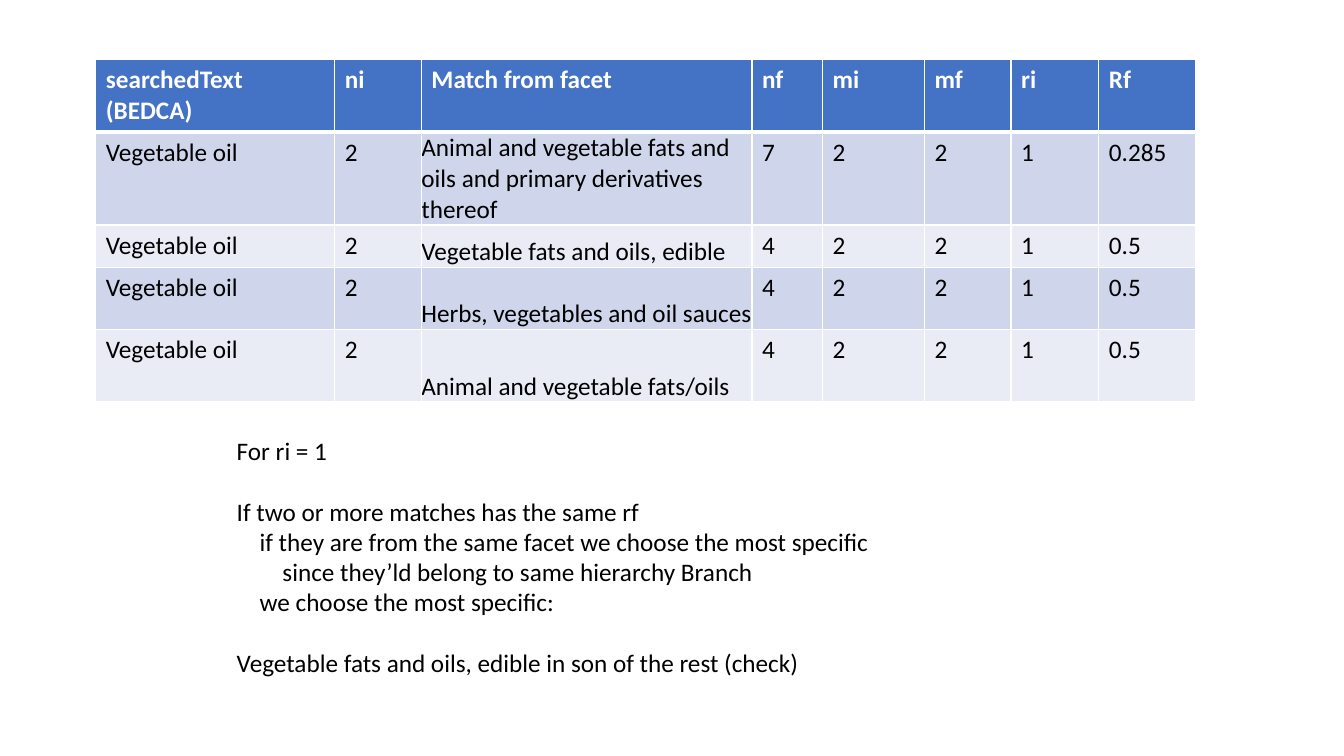
from lxml import etree
from pptx import Presentation
from pptx import util as u
from pptx.dml.color import RGBColor
from pptx.enum import text
from pptx.oxml.ns import qn


def colour(value):
    return RGBColor.from_string(value)


class Sheet:
    font = "Calibri"
    size = u.Pt(18)
    header, bands = "4472C4", ("CFD5EA", "E9EBF5")
    ink, white = "000000", "FFFFFF"

    def __init__(self, deck):
        self.page = deck.slides.add_slide(deck.slide_layouts[6])
        self.column = deck.slide_width / 100
        self.row = deck.slide_height / 100

    def across(self, columns):
        return round(columns * self.column)

    def down(self, rows):
        return round(rows * self.row)

    def frame(self, left, top, width, height):
        return self.across(left), self.down(top), self.across(width), self.down(height)

    def style(self, para, ink, bold=False):
        para.font.name, para.font.size, para.font.bold = self.font, self.size, bold
        para.font.color.rgb = colour(ink)

    def borders(self, cell, bottom):
        properties = cell._tc.get_or_add_tcPr()
        for side, points in (("L", 1), ("R", 1), ("T", 1), ("B", bottom)):
            line = etree.SubElement(properties, qn(f"a:ln{side}"), w=str(u.Pt(points)))
            fill = etree.SubElement(line, qn("a:solidFill"))
            etree.SubElement(fill, qn("a:srgbClr"), val=self.white)

    def cell(self, cell, words, fill, heading, flush):
        cell.text = words
        self.borders(cell, 3 if heading else 1)
        cell.fill.solid()
        cell.fill.fore_color.rgb = colour(fill)
        if flush:
            cell.margin_left = cell.margin_right = cell.margin_top = cell.margin_bottom = 0
            cell.vertical_anchor = text.MSO_ANCHOR.BOTTOM
        for para in cell.text_frame.paragraphs:
            self.style(para, self.white if heading else self.ink, heading)

    def table(self, left, top, widths, heights, records, flush_column):
        place = self.frame(left, top, sum(widths), sum(heights))
        table = self.page.shapes.add_table(len(heights), len(widths), *place).table
        for column, width in zip(table.columns, widths):
            column.width = self.across(width)
        for index, (row, height, record) in enumerate(zip(table.rows, heights, records)):
            row.height = self.down(height)
            heading = index == 0
            fill = self.header if heading else self.bands[(index - 1) % 2]
            for position, (cell, words) in enumerate(zip(row.cells, record)):
                flush = position == flush_column and not heading
                self.cell(cell, words, fill, heading, flush)

    def notes(self, left, top, width, height, lines, indent, gap):
        box = self.page.shapes.add_textbox(*self.frame(left, top, width, height))
        box.text_frame.word_wrap = True
        box.text_frame.text = "\n".join(words for words, level, spaced in lines)
        for para, (words, level, spaced) in zip(box.text_frame.paragraphs, lines):
            self.style(para, self.ink)
            para.space_before = u.Pt(gap if spaced else 0)
            para._p.get_or_add_pPr().set("marL", str(self.across(level * indent)))


deck = Presentation()
deck.slide_width, deck.slide_height = u.Inches(13.33), u.Inches(7.5)
sheet = Sheet(deck)

headings = ["searchedText\v(BEDCA)", "ni", "Match from facet", "nf", "mi", "mf", "ri", "Rf"]
matches = [
    ("Animal and vegetable fats and oils and primary derivatives thereof", "7", "0.285"),
    ("Vegetable fats and oils, edible", "4", "0.5"),
    ("Herbs, vegetables and oil sauces", "4", "0.5"),
    ("Animal and vegetable fats/oils", "4", "0.5"),
]
records = [headings] + [
    ["Vegetable oil", "2", match, nf, "2", "2", "1", rf] for match, nf, rf in matches
]
widths = [17.78, 6.45, 24.6, 5.25, 7.58, 6.45, 6.53, 7.2]
heights = [9.6, 12.3, 5.6, 8.2, 9.6]
sheet.table(7.13, 7.87, widths, heights, records, headings.index("Match from facet"))

rules = [
    ("For ri = 1", 0, False),
    ("If two or more matches has the same rf", 0, True),
    ("if they are from the same facet we choose the most specific", 1, False),
    ("since they’ld belong to same hierarchy Branch", 2, False),
    ("we choose the most specific:", 1, False),
    ("Vegetable fats and oils, edible in son of the rest (check)", 0, True),
]
sheet.notes(16.88, 56.93, 66.24, 33.6, rules, indent=1.7, gap=21.6)

deck.save("out.pptx")
